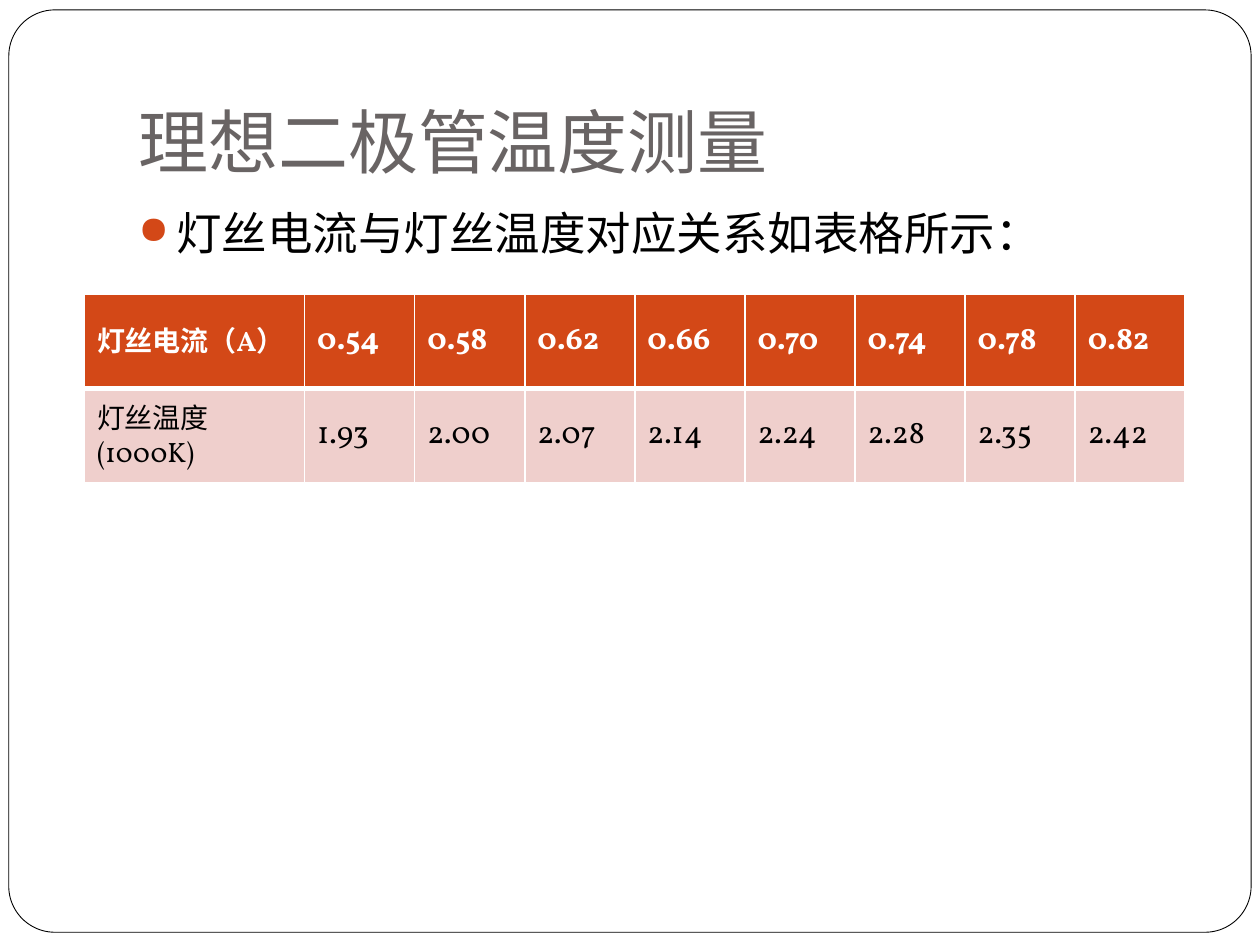
from dataclasses import dataclass

from lxml import etree
from pptx import Presentation
from pptx.dml.color import RGBColor
from pptx.enum.shapes import MSO_SHAPE
from pptx.enum.text import MSO_ANCHOR
from pptx.oxml.ns import qn
from pptx.util import Emu, Inches, Pt

ROUNDED = MSO_SHAPE.ROUNDED_RECTANGLE
TOP, MIDDLE, BOTTOM = MSO_ANCHOR.TOP, MSO_ANCHOR.MIDDLE, MSO_ANCHOR.BOTTOM


@dataclass(frozen=True)
class Theme:
    heading_font: str = "Lato"
    body_font: str = "Vollkorn"
    white: str = "FFFFFF"
    black: str = "000000"
    grey: str = "696464"
    accent: str = "D34817"
    tint: str = "EFCFCC"
    title_size: int = 40
    body_size: int = 26
    value_size: int = 18
    label_size: int = 16
    hairline: float = 0.5
    rule: int = 1
    header_rule: int = 3


def write(tf, text, *, font, size, color, bold=False, anchor=TOP):
    tf.word_wrap = True
    tf.vertical_anchor = anchor
    p = tf.paragraphs[0]
    r = p.add_run()
    r.text = text
    r.font.name, r.font.size, r.font.bold = font, Pt(size), bold
    r.font.color.rgb = RGBColor.from_string(color)
    return p


class Deck:
    def __init__(self, theme):
        self.t = theme
        self.prs = Presentation()
        self.prs.slide_width, self.prs.slide_height = Inches(10), Inches(7.5)
        self.s = self.prs.slides.add_slide(self.prs.slide_layouts[6])

    def box(self, x, y, w, h):
        """Turn percentages of the slide's size into lengths."""
        width, height = self.prs.slide_width, self.prs.slide_height
        return [Emu(round(share * full / 100)) for share, full in
                ((x, width), (y, height), (w, width), (h, height))]

    def frame(self, *area):
        sp = self.s.shapes.add_shape(ROUNDED, *self.box(*area))
        sp.adjustments[0] = 0.05
        sp.shadow.inherit = False
        sp.fill.solid()
        sp.fill.fore_color.rgb = RGBColor.from_string(self.t.white)
        sp.line.color.rgb = RGBColor.from_string(self.t.black)
        sp.line.width = Pt(self.t.hairline)

    def text(self, text, *area, bottom=0.05, **style):
        tf = self.s.shapes.add_textbox(*self.box(*area)).text_frame
        tf.margin_bottom = Inches(bottom)
        return write(tf, text, **style)

    def bullet(self, text, *area, **style):
        p = self.text(text, *area, **style)
        p.space_before = Pt(5.8)
        pPr = p._p.get_or_add_pPr()
        pPr.set("marL", str(Inches(0.3)))
        pPr.set("indent", str(Inches(-0.3)))
        color = etree.SubElement(pPr, qn("a:buClr"))
        etree.SubElement(color, qn("a:srgbClr"), val=self.t.accent)
        etree.SubElement(pPr, qn("a:buSzPct"), val="85000")
        etree.SubElement(pPr, qn("a:buChar"), char="●")

    def borders(self, cell, **widths):
        tcPr = cell._tc.get_or_add_tcPr()
        for i, side in enumerate("LRTB"):
            width = widths.get(side, self.t.rule)
            ln = etree.Element(qn(f"a:ln{side}"), w=str(Pt(width)))
            fill = etree.SubElement(ln, qn("a:solidFill"))
            etree.SubElement(fill, qn("a:srgbClr"), val=self.t.white)
            tcPr.insert(i, ln)

    def table(self, rows, *area):
        """The label column is twice as wide as each value column."""
        t = self.t
        x, y, w, h = self.box(*area)
        n_cols = len(rows[0])
        table = self.s.shapes.add_table(len(rows), n_cols, x, y, w, h).table
        unit = w // (n_cols + 1)
        for c, column in enumerate(table.columns):
            column.width = Emu(unit * (2 if c == 0 else 1))
        for i, values in enumerate(rows):
            header = i == 0
            for c, value in enumerate(values):
                cell = table.cell(i, c)
                cell.vertical_anchor = MIDDLE
                cell.fill.solid()
                cell.fill.fore_color.rgb = RGBColor.from_string(
                    t.accent if header else t.tint)
                write(cell.text_frame, value, font=t.body_font, bold=header,
                      size=t.label_size if c == 0 else t.value_size,
                      color=t.white if header else t.black, anchor=MIDDLE)
                # The rule under the header is shared by both rows
                self.borders(cell, **{"B" if header else "T": t.header_rule})


theme = Theme()
deck = Deck(theme)

# Slide frame
deck.frame(0.7, 1.05, 98.6, 97.6)

# Title and lead-in
deck.text("理想二极管温度测量", 10, 4, 85, 16.67, bottom=0.1, anchor=BOTTOM,
          font=theme.heading_font, size=theme.title_size, color=theme.grey)
deck.bullet("灯丝电流与灯丝温度对应关系如表格所示：", 10, 21, 85, 66.67,
            font=theme.body_font, size=theme.body_size, color=theme.black)

# Filament current and temperature
currents = [f"{0.54 + 0.04 * i:.2f}" for i in range(8)]
temperatures = ["1.93", "2.00", "2.07", "2.14", "2.24", "2.28", "2.35", "2.42"]
deck.table([["灯丝电流（A）", *currents], ["灯丝温度(1000K)", *temperatures]],
           6.7, 31.1, 87.4, 20)

deck.prs.save("out.pptx")
